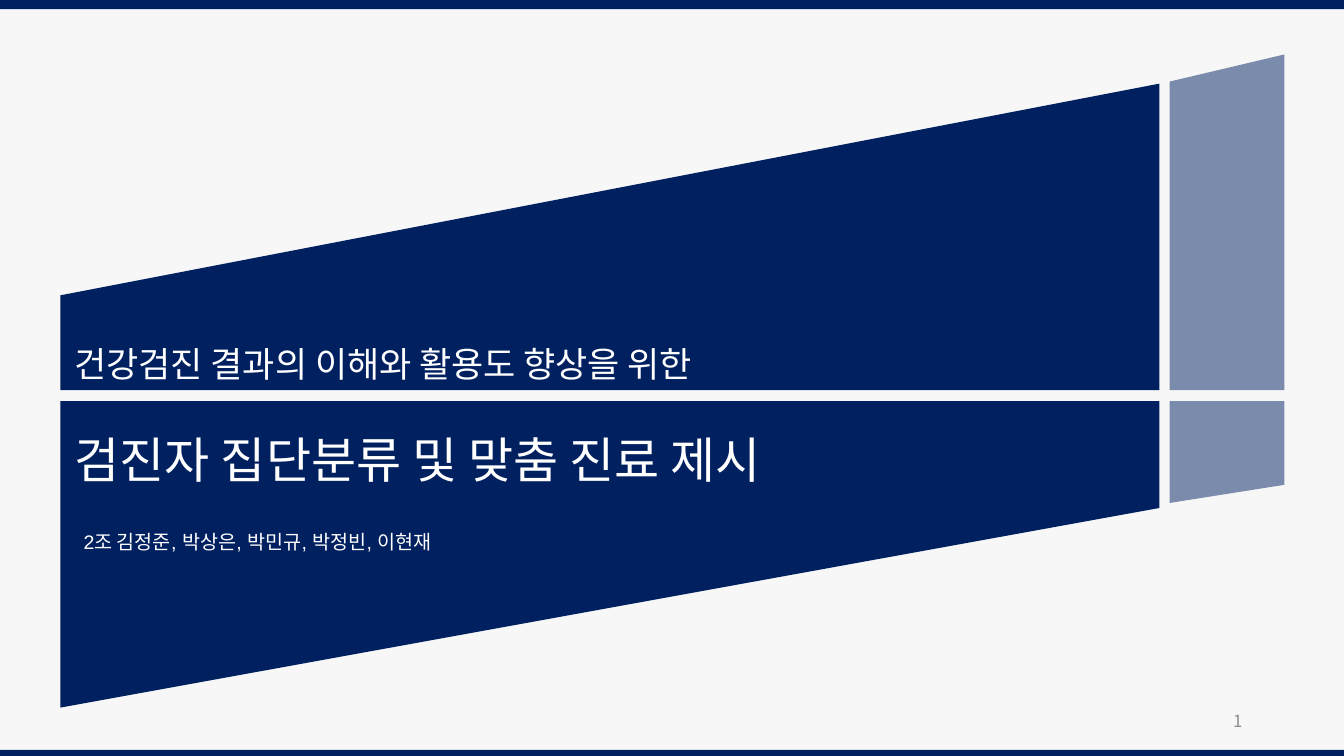
from lxml.etree import SubElement
from pptx import Presentation
from pptx.dml.color import RGBColor
from pptx.enum.shapes import MSO_SHAPE
from pptx.enum.text import MSO_ANCHOR, PP_ALIGN
from pptx.oxml.ns import qn
from pptx.util import Inches, Pt

NAVY = RGBColor(0x00, 0x20, 0x60)
PALE = RGBColor(0xE7, 0xE6, 0xE6)
WHITE = RGBColor(0xFF, 0xFF, 0xFF)
GRAY = RGBColor(0x8C, 0x8C, 0x8C)
KOREAN = "Noto Sans CJK KR"
WIDTH, HEIGHT = 13.33, 7.5


def write(tf, text, size=14, font=KOREAN, color=WHITE, align=PP_ALIGN.LEFT,
          anchor=MSO_ANCHOR.TOP, spacing=1.0):
    """Put one formatted paragraph into a text frame."""
    tf.word_wrap = True
    tf.vertical_anchor = anchor
    p = tf.paragraphs[0]
    p.alignment = align
    p.line_spacing = spacing
    r = p.add_run()
    r.text = text
    r.font.size = Pt(size)
    r.font.name = font
    r.font.color.rgb = color
    SubElement(r.font._element, qn("a:ea")).set("typeface", KOREAN)


class Cover:
    """Draws the elements of the cover slide in its style."""

    def __init__(self, prs):
        self.s = prs.slides.add_slide(prs.slide_layouts[5])

    def paint(self, sp, color, opacity):
        sp.shadow.inherit = False
        sp.line.fill.background()
        sp.fill.solid()
        sp.fill.fore_color.rgb = color
        if opacity < 100:
            clr = sp.fill._xPr.find(".//" + qn("a:srgbClr"))
            SubElement(clr, qn("a:alpha")).set("val", str(opacity * 1000))

    def band(self, top, height, color=NAVY, opacity=100):
        sp = self.s.shapes.add_shape(MSO_SHAPE.RECTANGLE, 0, Inches(top),
                                     Inches(WIDTH), Inches(height))
        self.paint(sp, color, opacity)

    def panel(self, left, right, edge, left_tip, right_tip, opacity=100):
        corners = [(left, left_tip), (right, right_tip), (right, edge), (left, edge)]
        pts = [(Inches(x), Inches(y)) for x, y in corners]
        fb = self.s.shapes.build_freeform(*pts[0], scale=1.0)
        fb.add_line_segments(pts[1:], close=True)
        self.paint(fb.convert_to_shape(), NAVY, opacity)

    def text(self, text, left, top, width, height, **fmt):
        sp = self.s.shapes.add_textbox(*map(Inches, (left, top, width, height)))
        write(sp.text_frame, text, **fmt)

    def title(self, text, left, top, width, height, **fmt):
        sp = self.s.shapes.title
        sp.left, sp.top, sp.width, sp.height = map(Inches, (left, top, width, height))
        write(sp.text_frame, text, **fmt)
        sp._element.getparent().append(sp._element)


def main():
    """Build the cover slide and save it."""
    prs = Presentation()
    prs.slide_width, prs.slide_height = Inches(WIDTH), Inches(HEIGHT)
    cover = Cover(prs)
    cover.band(0, HEIGHT, PALE, 30)
    for left, right, opacity, tips in (
        (0.6, 11.5, 100, ((2.93, 0.83), (7.02, 5.04))),
        (11.6, 12.74, 50, ((0.81, 0.54), (4.99, 4.81))),
    ):
        for edge, tip in zip((3.87, 3.98), tips):
            cover.panel(left, right, edge, *tip, opacity=opacity)
    cover.band(0, 0.09)
    cover.band(7.44, 0.06)
    cover.text("2조 김정준, 박상은, 박민규, 박정빈, 이현재", 0.73, 5.09, 6.49, 0.42,
               font="Arial", spacing=1.5)
    cover.text("건강검진 결과의 이해와 활용도 향상을 위한", 0.64, 3.35, 8.72, 0.52, size=25)
    cover.title("검진자 집단분류 및 맞춤 진료 제시", 0.64, 4.21, 9.97, 0.69,
                size=35, anchor=MSO_ANCHOR.MIDDLE)
    cover.text("1", 9.42, 6.95, 3, 0.4, size=12, color=GRAY,
               align=PP_ALIGN.RIGHT, anchor=MSO_ANCHOR.MIDDLE)
    prs.save("out.pptx")


if __name__ == "__main__":
    main()
